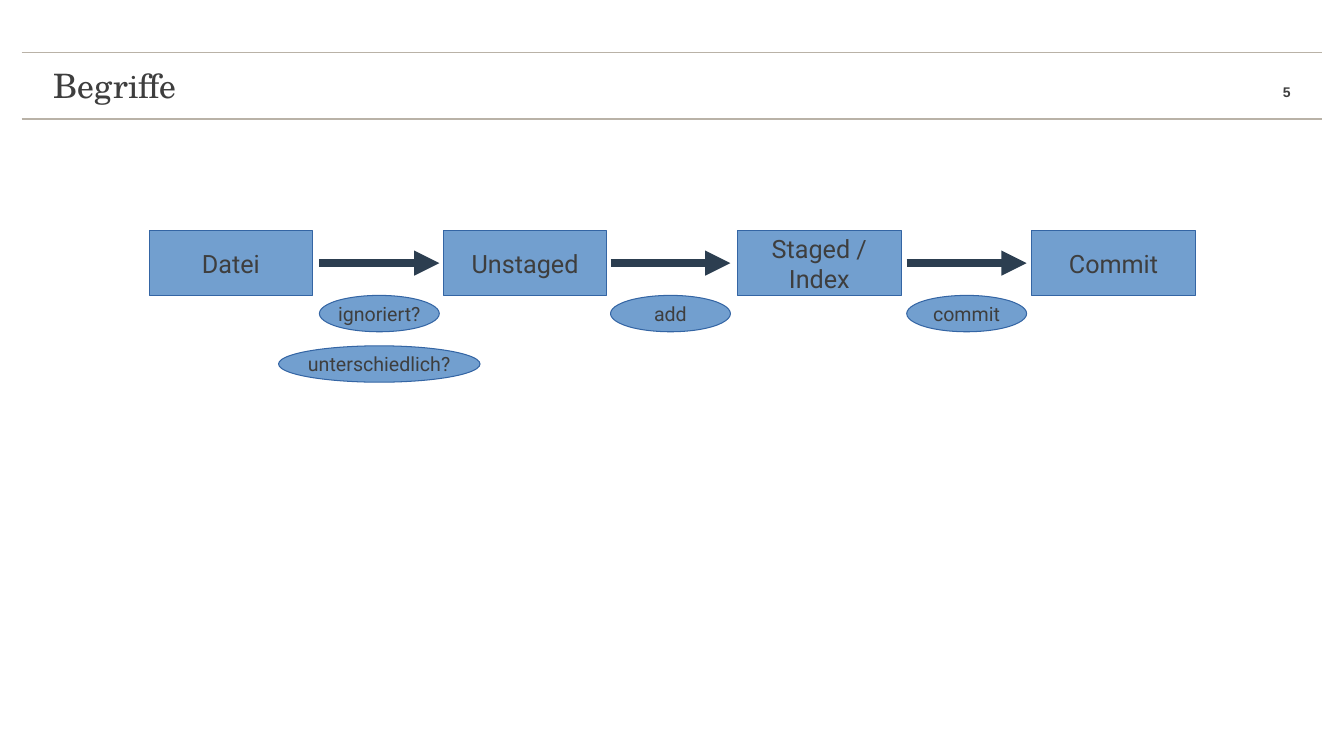
from pptx import Presentation
from pptx.util import Pt
from pptx.dml.color import RGBColor
from pptx.enum.shapes import MSO_CONNECTOR, MSO_SHAPE
from pptx.enum.text import MSO_ANCHOR, PP_ALIGN
from pptx.oxml.ns import qn
from lxml.etree import SubElement

TITLE = "Begriffe"
NUMBER = "5"
STATES = ["Datei", "Unstaged", "Staged /\nIndex", "Commit"]
STEPS = [
    (228.24, [("ignoriert?", 85.7), ("unterschiedlich?", 144)]),
    (436.32, [("add", 85.7)]),
    (648, [("commit", 85.7)]),
]
COLORS = {"text": "3E3E3E", "fill": "729FCF", "edge": "3465A4",
          "arrow": "2C3E50", "rule": "B9B2A7"}

LEFT, PITCH = 106.56, 210.24
TOP, WIDE, HIGH = 164.9, 117, 46.1
SPAN = 85.7
OVAL_TOP, OVAL_HIGH, OVAL_STEP = 211, 26, 36


def color(name):
    return RGBColor.from_string(COLORS[name])


def write(shape, text, size, font="Roboto", align=PP_ALIGN.CENTER,
          bold=False, wrap=False):
    frame = shape.text_frame
    frame.word_wrap = wrap
    frame.vertical_anchor = MSO_ANCHOR.MIDDLE
    para = frame.paragraphs[0]
    para.text = text
    para.alignment = align
    for run in para.runs:
        run.font.size = Pt(size)
        run.font.name = font
        run.font.bold = bold
        run.font.color.rgb = color("text")


def label(slide, box, text, size, font, align, bold=False):
    shape = slide.shapes.add_textbox(*map(Pt, box))
    frame = shape.text_frame
    frame.margin_left = frame.margin_right = 0
    frame.margin_top = frame.margin_bottom = 0
    write(shape, text, size, font, align, bold, True)


def node(slide, kind, box, text, size):
    shape = slide.shapes.add_shape(kind, *map(Pt, box))
    shape.shadow.inherit = False
    shape.fill.solid()
    shape.fill.fore_color.rgb = color("fill")
    shape.line.color.rgb = color("edge")
    shape.line.width = Pt(0.75)
    write(shape, text, size)


def line(slide, start, end, y, name, width, head=False):
    link = slide.shapes.add_connector(
        MSO_CONNECTOR.STRAIGHT, Pt(start), Pt(y), Pt(end), Pt(y))
    link.line.color.rgb = color(name)
    link.line.width = Pt(width)
    if head:
        SubElement(link.line._get_or_add_ln(), qn("a:tailEnd"), type="triangle")
    SubElement(link._element.spPr, qn("a:effectLst"))


def main():
    deck = Presentation()
    deck.slide_width, deck.slide_height = Pt(960.48), Pt(540)
    slide = deck.slides.add_slide(deck.slide_layouts[6])

    for y in (37.6, 85):
        line(slide, 15.4, 944.6, y, "rule", 1)
    label(slide, (38.16, 37.44, 844.56, 46.8), TITLE, 24,
          "TeX Gyre Schola", PP_ALIGN.LEFT)
    label(slide, (882.72, 54, 39.6, 23.76), NUMBER, 10,
          "Arial", PP_ALIGN.RIGHT, True)

    for i, state in enumerate(STATES):
        box = (LEFT + i * PITCH, TOP, WIDE, HIGH)
        node(slide, MSO_SHAPE.RECTANGLE, box, state, 18)

    for x, notes in STEPS:
        line(slide, x, x + SPAN, TOP + HIGH / 2, "arrow", 6, True)
        for i, (note, width) in enumerate(notes):
            box = (x + (SPAN - width) / 2, OVAL_TOP + i * OVAL_STEP,
                   width, OVAL_HIGH)
            node(slide, MSO_SHAPE.OVAL, box, note, 14)

    deck.save("out.pptx")


if __name__ == "__main__":
    main()
